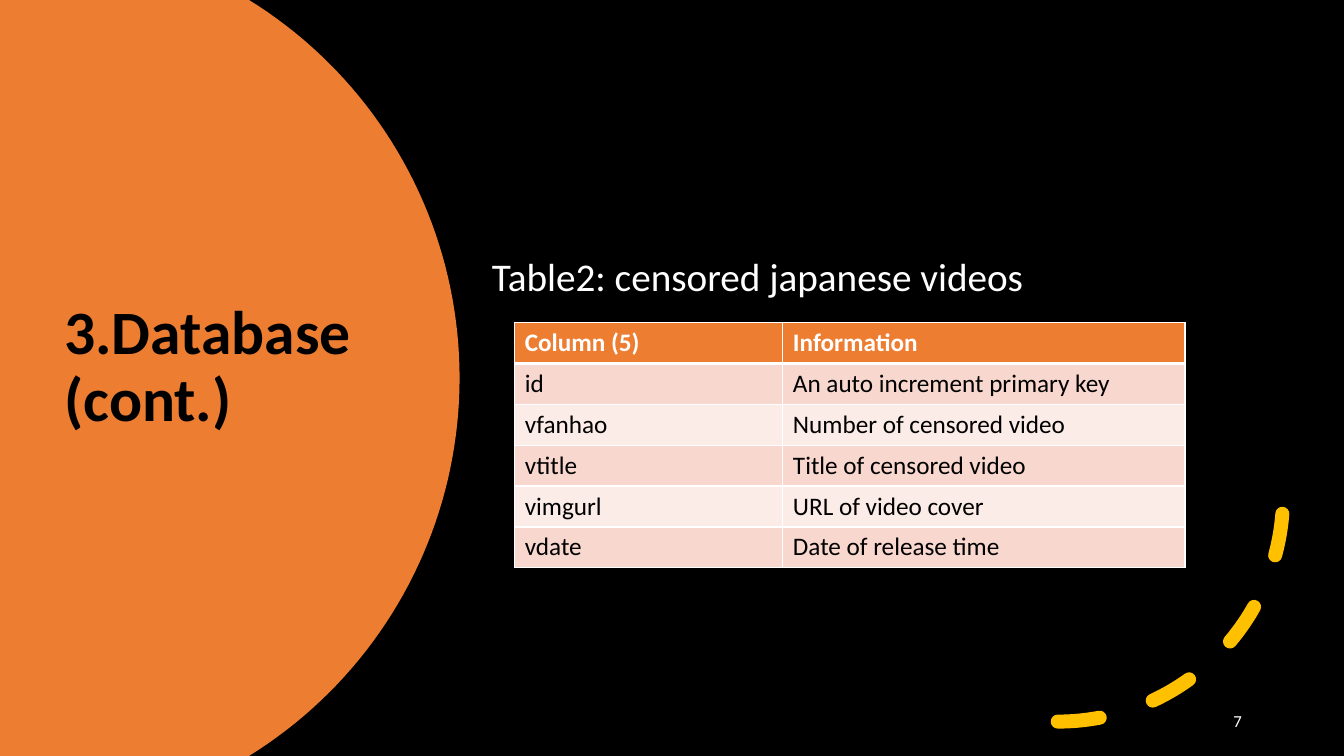
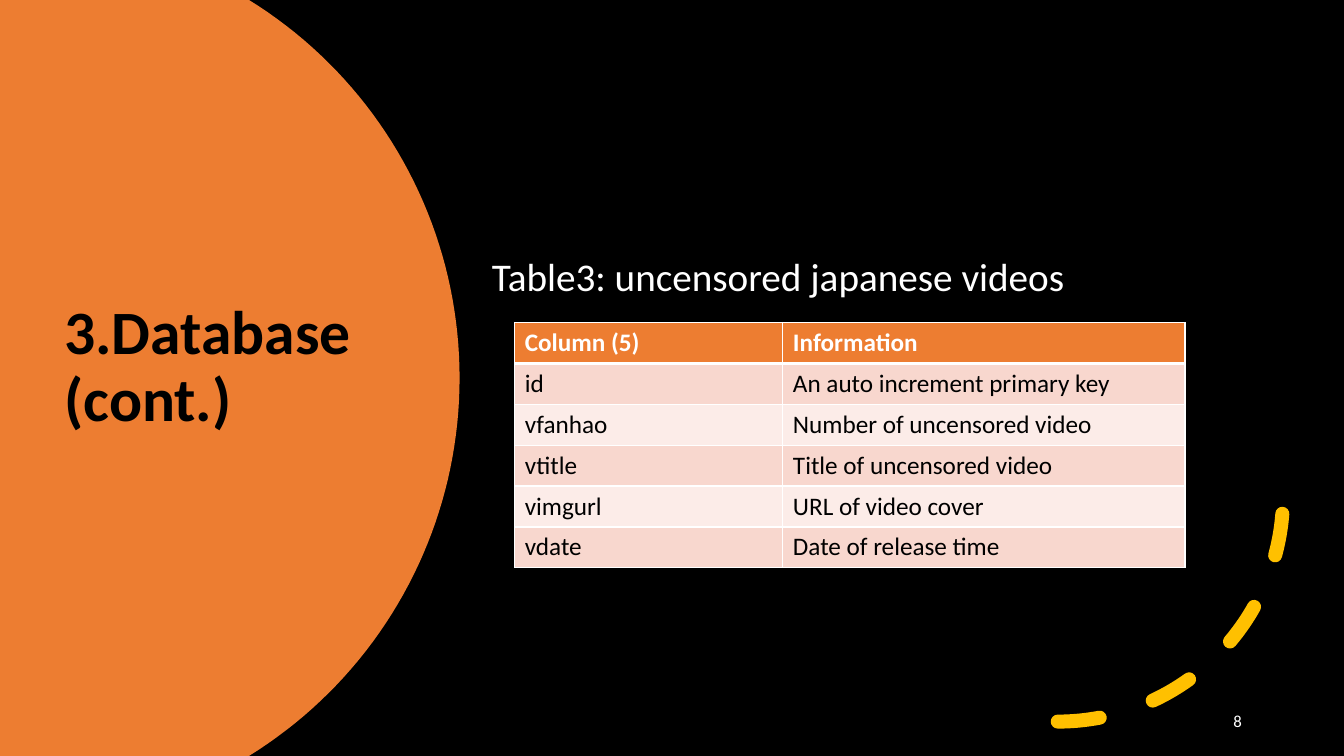
import math

from lxml import etree
from pptx import Presentation
from pptx import util as u
from pptx.dml import color
from pptx.enum import dml, shapes, text
from pptx.oxml import ns

COLORS = {
    "night": "000000",
    "orange": "ED7D31",
    "gold": "FFC000",
    "white": "FFFFFF",
    "band_dark": "F8D7CE",
    "band_light": "FCECE8",
}
FONT = "Calibri"
WIDTH, HEIGHT = 960, 540

TITLE_BOX = (38.9, 87.1, 294.5, 351.4)
DISC_BOX = (0, 0, 328.3, HEIGHT)
ARC_BOX = (594.7, 193.7, 321.8, 321.8)
NUMBER_BOX = (678.2, 500.4, 216, 28.8)
CAPTION_BOX = (344.2, 176.8, 429.8, 40)
TABLE_BOX = (367.7, 230.4, 478.8, 175.2)

STYLES = {
    "title": {"size": u.Pt(44), "bold": True, "color": "night"},
    "caption": {"size": u.Pt(28), "bold": False, "color": "white"},
    "number": {"size": u.Pt(12), "bold": False, "color": "white"},
    "header": {"size": u.Pt(18), "bold": True, "color": "white"},
    "body": {"size": u.Pt(18), "bold": False, "color": "night"},
}

HEADINGS = ("Column (5)", "Information")
TABLES = [
    (7, "Table2: censored japanese videos", "censored"),
    (8, "Table3: uncensored japanese videos", "uncensored"),
]


def rgb(name):
    return color.RGBColor.from_string(COLORS[name])


def points(box):
    return [u.Pt(value) for value in box]


def paint(fill, name):
    fill.solid()
    fill.fore_color.rgb = rgb(name)


def style_font(font, style):
    font.name = FONT
    for key, value in STYLES[style].items():
        if key == "color":
            font.color.rgb = rgb(value)
        else:
            setattr(font, key, value)


def add_text(slide, box, lines, style, **paragraph_format):
    frame = slide.shapes.add_textbox(*points(box)).text_frame
    frame.word_wrap = True
    frame.vertical_anchor = text.MSO_ANCHOR.MIDDLE
    paragraph = frame.paragraphs[0]
    for index, line in enumerate(lines):
        if index:
            paragraph.add_line_break()
        run = paragraph.add_run()
        run.text = line
        style_font(run.font, style)
    for key, value in paragraph_format.items():
        setattr(paragraph, key, value)


def add_disc(slide, box, radius=317.5, steps=80):
    left, top, width, height = box
    center_x, center_y = left + width - radius, top + height / 2
    limit = math.asin(height / 2 / radius)
    angles = [limit * (2 * step / steps - 1) for step in range(steps + 1)]
    rim = [(u.Pt(center_x + radius * math.cos(angle)),
            u.Pt(center_y + radius * math.sin(angle))) for angle in angles]
    outline = slide.shapes.build_freeform(u.Pt(left), u.Pt(top))
    outline.add_line_segments(rim + [(u.Pt(left), u.Pt(top + height))], close=True)
    disc = outline.convert_to_shape()
    disc.shadow.inherit = False
    paint(disc.fill, "orange")
    disc.line.fill.background()


def add_dashed_arc(slide, box):
    arc = slide.shapes.add_shape(shapes.MSO_SHAPE.ARC, *points(box))
    arc.shadow.inherit = False
    arc.fill.background()
    paint(arc.line.fill, "gold")
    for key, value in {"width": u.Pt(10), "dash_style": dml.MSO_LINE.DASH}.items():
        setattr(arc.line, key, value)
    properties = arc.element.spPr
    properties.find(ns.qn("a:xfrm")).set("flipV", "1")
    properties.find(ns.qn("a:ln")).set("cap", "rnd")


def add_borders(cell, widths):
    properties = cell._tc.get_or_add_tcPr()
    for side, width in widths.items():
        line = etree.SubElement(properties, ns.qn(f"a:ln{side}"), w=str(u.Pt(width)))
        fill = etree.SubElement(line, ns.qn("a:solidFill"))
        etree.SubElement(fill, ns.qn("a:srgbClr"), val=COLORS["white"])


def add_columns_table(slide, box, rows):
    table = slide.shapes.add_table(len(rows), len(HEADINGS), *points(box)).table
    for column, share in zip(table.columns, (0.4, 0.6)):
        column.width = u.Pt(box[2] * share)
    for index, row in enumerate(rows):
        table.rows[index].height = u.Pt(box[3] / len(rows))
        band = "band_dark" if index % 2 else "band_light"
        widths = {"L": 1, "R": 1, "T": 3 if index == 1 else 1, "B": 1 if index else 3}
        for position, words in enumerate(row):
            cell = table.cell(index, position)
            cell.text = words
            style_font(cell.text_frame.paragraphs[0].runs[0].font,
                       "body" if index else "header")
            add_borders(cell, widths)
            paint(cell.fill, band if index else "orange")


def video_rows(kind):
    return [
        HEADINGS,
        ("id", "An auto increment primary key"),
        ("vfanhao", f"Number of {kind} video"),
        ("vtitle", f"Title of {kind} video"),
        ("vimgurl", "URL of video cover"),
        ("vdate", "Date of release time"),
    ]


def add_database_slide(deck, number, caption, kind):
    slide = deck.slides.add_slide(deck.slide_layouts[6])
    paint(slide.background.fill, "night")
    add_disc(slide, DISC_BOX)
    add_text(slide, TITLE_BOX, ("3.Database", "(cont.)"), "title", line_spacing=0.9)
    add_dashed_arc(slide, ARC_BOX)
    add_text(slide, NUMBER_BOX, (str(number),), "number",
             alignment=text.PP_ALIGN.RIGHT)
    add_columns_table(slide, TABLE_BOX, video_rows(kind))
    add_text(slide, CAPTION_BOX, (caption,), "caption")


def main():
    deck = Presentation()
    deck.slide_width, deck.slide_height = u.Pt(WIDTH), u.Pt(HEIGHT)
    for number, caption, kind in TABLES:
        add_database_slide(deck, number, caption, kind)
    deck.save("out.pptx")


if __name__ == "__main__":
    main()
